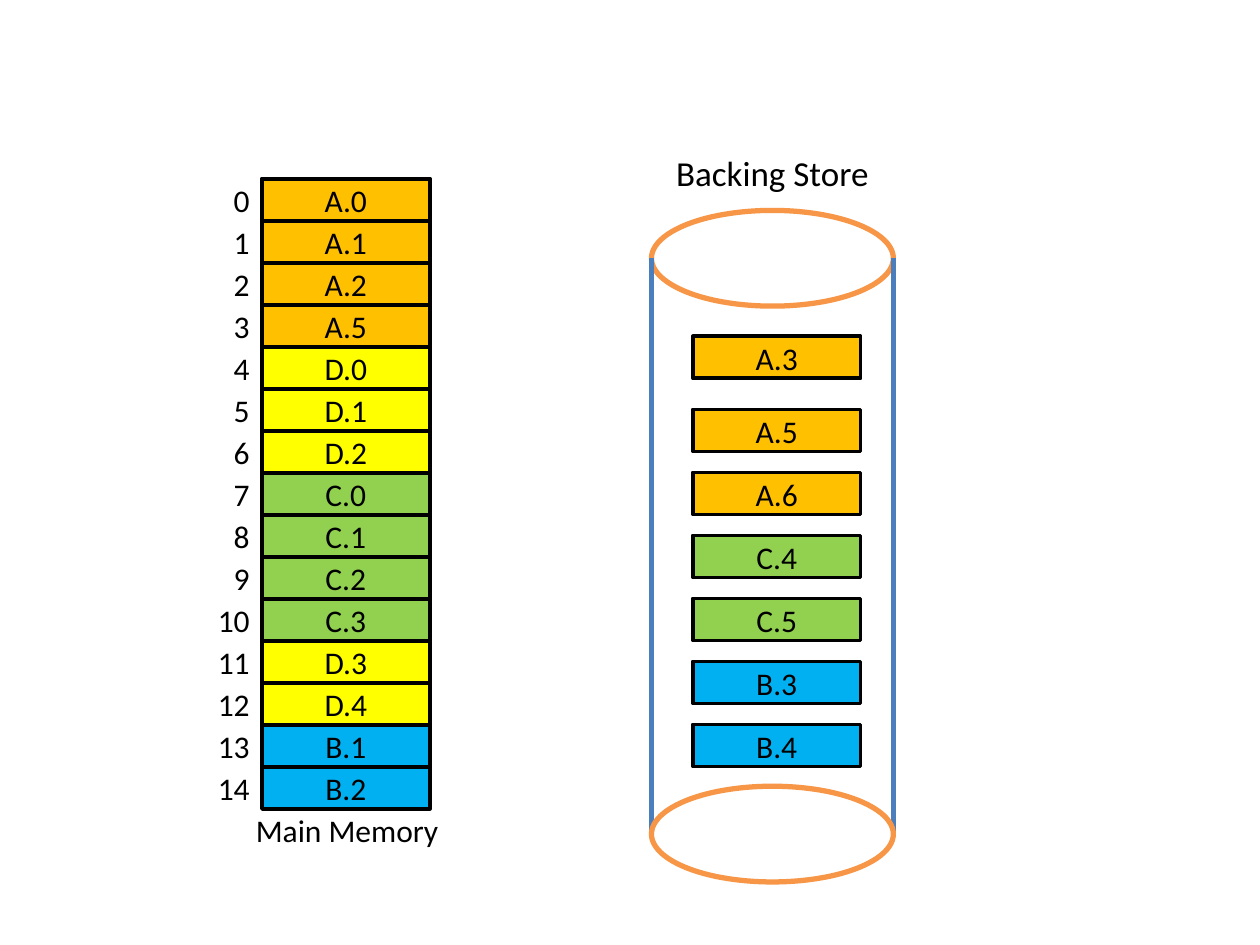
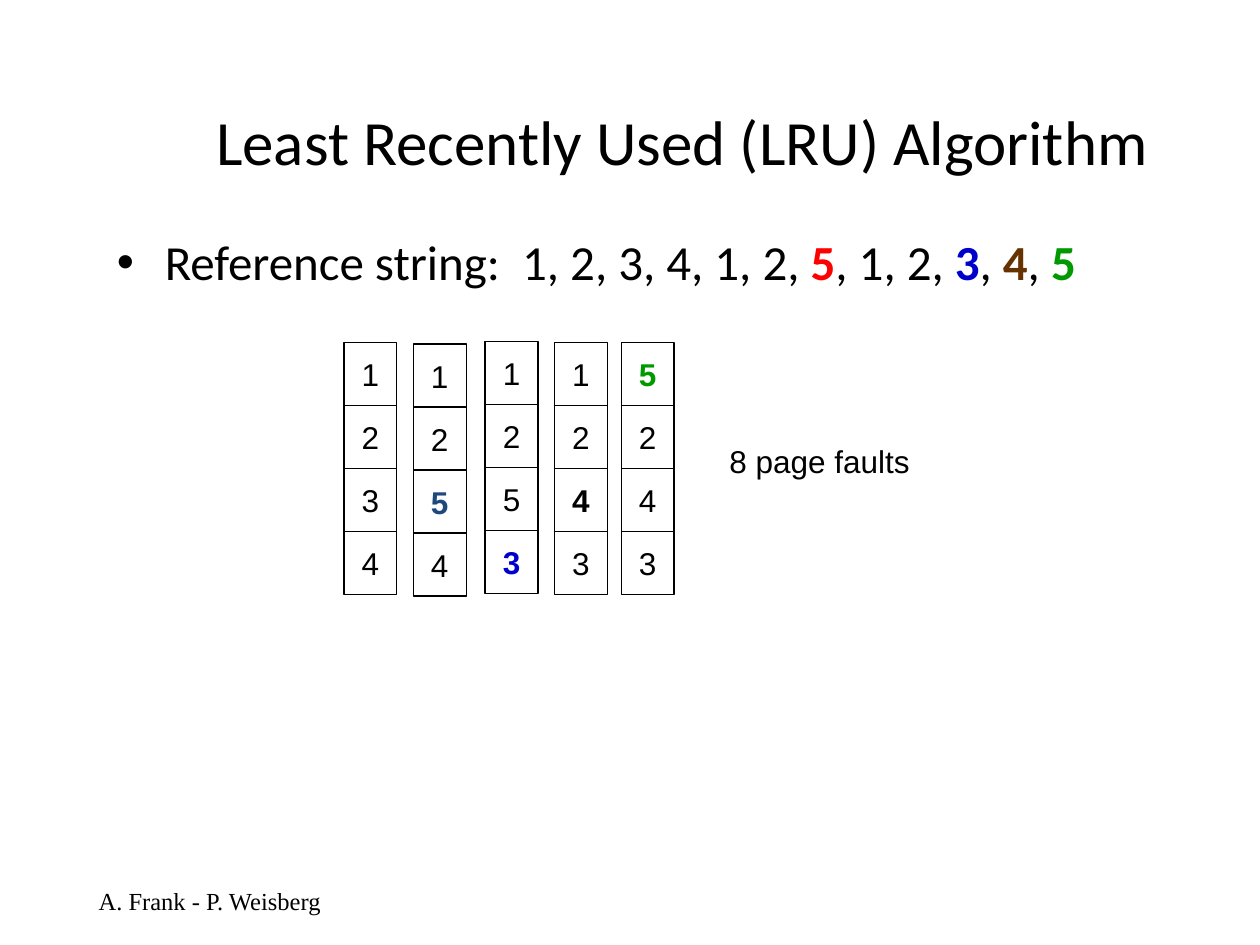
from lxml import etree
from pptx import Presentation
from pptx.dml.color import RGBColor
from pptx.enum.shapes import MSO_CONNECTOR, MSO_SHAPE
from pptx.enum.text import MSO_ANCHOR, PP_ALIGN
from pptx.oxml.ns import qn
from pptx.util import Inches, Pt

RECT, OVAL = MSO_SHAPE.RECTANGLE, MSO_SHAPE.OVAL
STRAIGHT = MSO_CONNECTOR.STRAIGHT
TOP, MIDDLE = MSO_ANCHOR.TOP, MSO_ANCHOR.MIDDLE
LEFT, CENTER, RIGHT = PP_ALIGN.LEFT, PP_ALIGN.CENTER, PP_ALIGN.RIGHT
TITLE_ONLY, BLANK = 5, 6

HUES = {
    "black": "000000", "white": "FFFFFF", "rim": "F79646", "wall": "4B7EBC",
    "A": "FFC000", "B": "00B0F0", "C": "92D050", "D": "FFFF00",
    "red": "FF0000", "blue": "0000CC", "brown": "663300",
    "green": "009900", "navy": "1F497D",
}
SANS, ARIAL, SERIF = "Calibri", "Arial", "Times New Roman"

# Page frames and the pages on disk
MEMORY = ("A.0 A.1 A.2 A.5 D.0 D.1 D.2 C.0 C.1 C.2 C.3 "
          "D.3 D.4 B.1 B.2").split()
STORE = "A.5 A.6 C.4 C.5 B.3 B.4".split()
ROW, PAGE = 1 / 3, 1.33
MEM_X, MEM_Y = 2.08, 1.42
DISK_X, DISK_W, RIM_H = 5.17, 1.92, 0.76
RIM_TOPS = (1.67, 6.24)

# Reference string: text and the colour of each highlighted fault
REFS = [("Reference string:  1, 2, 3, 4, 1, 2, ", None), ("5", "red"),
        (", 1, 2, ", None), ("3", "blue"), (", ", None), ("4", "brown"),
        (", ", None), ("5", "green")]

# Frame states: left, top, pages, row and colour of the new page
STATES = [(2.73, 2.72, "1234", None, None), (3.28, 2.73, "1254", 2, "navy"),
          (3.85, 2.71, "1253", 3, "blue"), (4.4, 2.72, "1243", 2, "black"),
          (4.93, 2.72, "5243", 0, "green")]
SLOT_W, SLOT_H = 0.42, 0.5


def rgb(hue):
    return RGBColor.from_string(HUES[hue])


def write(shape, runs, size, font=SANS, align=CENTER, anchor=MIDDLE, wrap=True):
    """Fill a shape with one paragraph; a run with a hue is bold."""
    frame = shape.text_frame
    frame.word_wrap = wrap
    frame.vertical_anchor = anchor
    para = frame.paragraphs[0]
    para.alignment = align
    for text, hue in runs:
        run = para.add_run()
        run.text = text
        run.font.size = Pt(size)
        run.font.name = font
        run.font.bold = hue is not None
        run.font.color.rgb = rgb(hue or "black")
    return para


def place(shape, x, y, w, h):
    shape.left, shape.top = Inches(x), Inches(y)
    shape.width, shape.height = Inches(w), Inches(h)


def label(slide, text, x, y, w, h, size=18, **style):
    box = slide.shapes.add_textbox(Inches(x), Inches(y), Inches(w), Inches(h))
    return write(box, [(text, None)], size, **style)


def form(slide, kind, x, y, w, h, fill="white", line="black", weight=2.25):
    shape = slide.shapes.add_shape(
        kind, Inches(x), Inches(y), Inches(w), Inches(h))
    shape.shadow.inherit = False
    shape.fill.solid()
    shape.fill.fore_color.rgb = rgb(fill)
    shape.line.color.rgb = rgb(line)
    shape.line.width = Pt(weight)
    return shape


def page(slide, name, x, y):
    """A memory page, coloured by the process that owns it."""
    cell = form(slide, RECT, x, y, PAGE, ROW, name[0])
    write(cell, [(name, None)], 18)


def wall(slide, x, top, end):
    line = slide.shapes.add_connector(
        STRAIGHT, Inches(x), Inches(top), Inches(x), Inches(end))
    line.line.color.rgb = rgb("wall")
    line.line.width = Pt(3)
    etree.SubElement(line._element.spPr, qn("a:effectLst"))


def rim(slide, top):
    form(slide, OVAL, DISK_X, top, DISK_W, RIM_H, line="rim", weight=3)


def disk(slide):
    top, end = RIM_TOPS
    rim(slide, top)
    for x in (DISK_X, DISK_X + DISK_W):
        wall(slide, x, top + RIM_H / 2, end + RIM_H / 2)
    rim(slide, end)


def bullet(para, indent):
    props = para._p.get_or_add_pPr()
    props.set("marL", str(Inches(indent)))
    props.set("indent", str(-Inches(indent)))
    etree.SubElement(props, qn("a:buFont"), typeface=ARIAL)
    etree.SubElement(props, qn("a:buChar"), char="•")


def state(slide, x, top, pages, fresh, hue):
    """A column of frames after one page fault."""
    for row, name in enumerate(pages):
        slot = form(slide, RECT, x, top + row * SLOT_H, SLOT_W, SLOT_H,
                    weight=0.75)
        mark = hue if row == fresh else None
        write(slot, [(name, mark)], 18, ARIAL, wrap=False)


def paging(deck):
    slide = deck.slides.add_slide(deck.slide_layouts[BLANK])
    # Main memory
    form(slide, RECT, MEM_X, MEM_Y, PAGE, ROW * 13.5)
    for row, name in enumerate(MEMORY):
        y = MEM_Y + row * ROW
        label(slide, str(row), 1.5, y, 0.58, ROW, align=RIGHT)
        page(slide, name, MEM_X, y)
    label(slide, "Main Memory", 1.92, 6.42, 1.67, ROW)
    # Backing store
    disk(slide)
    page(slide, "A.3", 5.5, 2.67)
    for row, name in enumerate(STORE):
        page(slide, name, 5.5, 3.25 + row * 0.5)
    label(slide, "Backing Store", DISK_X, 1.08, DISK_W, 0.58, 20)


def lru(deck):
    slide = deck.slides.add_slide(deck.slide_layouts[TITLE_ONLY])
    title = slide.shapes.title
    place(title, 0.83, 0.78, 9.17, 0.67)
    write(title, [("Least Recently Used (LRU) Algorithm", None)], 36)
    # Reference string
    body = slide.shapes.add_textbox(0, 0, 0, 0)
    place(body, 0.83, 1.84, 9.17, 5.66)
    para = write(body, REFS, 28, align=LEFT, anchor=TOP)
    para.line_spacing = 0.9
    bullet(para, 0.38)
    # Frame states
    for column in STATES:
        state(slide, *column)
    label(slide, "8 page faults", 5.69, 3.46, 1.63, 0.4, font=ARIAL, wrap=False)
    # Footer
    label(slide, "A. Frank - P. Weisberg", 0.5, 6.95, 2.33, 0.4, 14, font=SERIF)


def main():
    deck = Presentation()
    deck.slide_width, deck.slide_height = Inches(10), Inches(7.5)
    paging(deck)
    lru(deck)
    deck.save("out.pptx")


if __name__ == "__main__":
    main()
